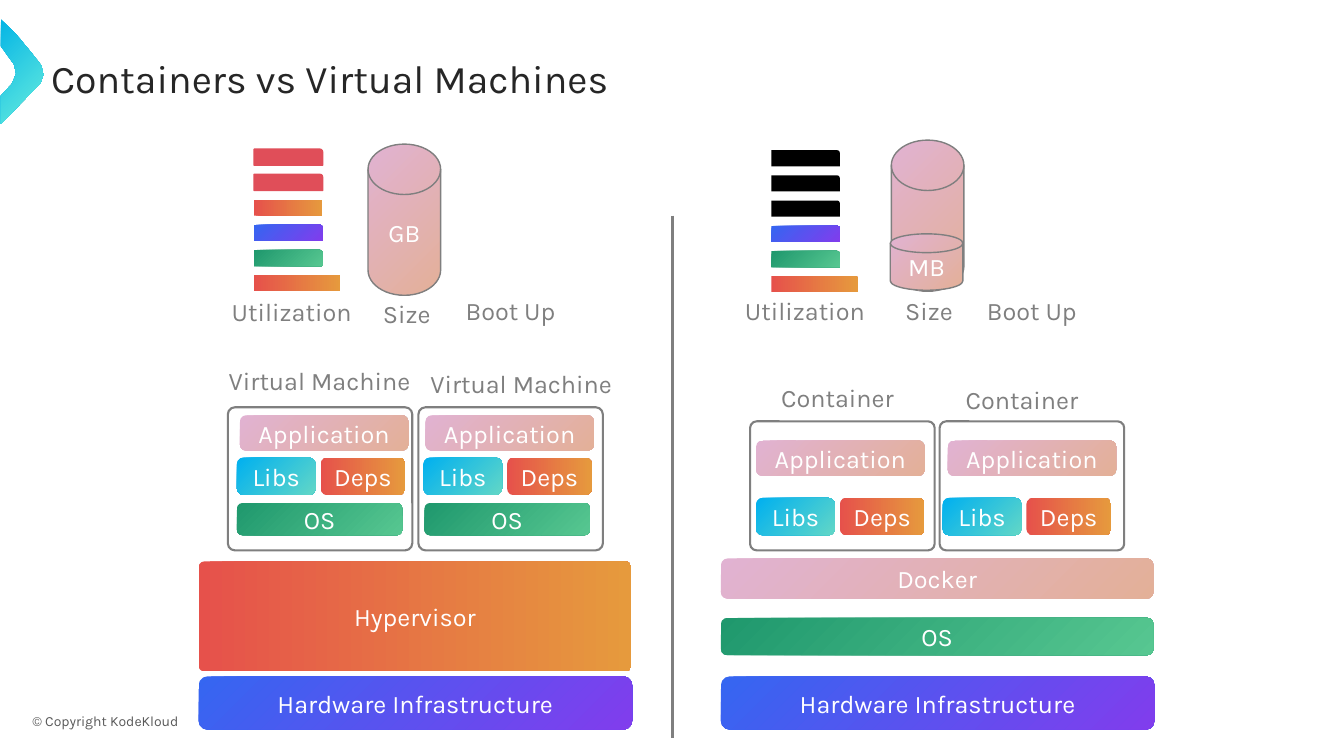
from dataclasses import dataclass
from typing import Optional

import pptx
import pptx.dml.color
import pptx.enum.shapes
import pptx.enum.text
import pptx.oxml
import pptx.oxml.ns
import pptx.util

PX = 9144  # EMU per px, 100 px to the inch
RGBColor = pptx.dml.color.RGBColor
PRESET = pptx.enum.shapes.MSO_SHAPE
ALIGN = pptx.enum.text.PP_ALIGN
ANCHOR = pptx.enum.text.MSO_ANCHOR

WHITE = RGBColor(0xFF, 0xFF, 0xFF)
BLACK = RGBColor(0x00, 0x00, 0x00)
GRAY = RGBColor(0x7F, 0x7F, 0x7F)
TITLE_COLOR = RGBColor(0x26, 0x26, 0x26)
FOOTER_COLOR = RGBColor(0x59, 0x59, 0x59)
RED = RGBColor(0xE0, 0x4E, 0x59)


@dataclass(frozen=True)
class Gradient:
    start: RGBColor
    end: RGBColor
    angle: int = 315  # counter-clockwise: towards the lower right


PINK = Gradient(RGBColor(0xE1, 0xB2, 0xD2), RGBColor(0xE3, 0xB0, 0x98))
GREEN = Gradient(RGBColor(0x1F, 0x98, 0x6D), RGBColor(0x57, 0xC7, 0x91))
CYAN = Gradient(RGBColor(0x00, 0xB0, 0xF0), RGBColor(0x62, 0xD7, 0xC7))
ORANGE = Gradient(RGBColor(0xE6, 0x51, 0x4B), RGBColor(0xE6, 0x9A, 0x3D), 0)
VIOLET = Gradient(RGBColor(0x35, 0x66, 0xF1), RGBColor(0x81, 0x3D, 0xED))
AQUA = Gradient(RGBColor(0x05, 0xB5, 0xE5), RGBColor(0x69, 0xEE, 0xDE))


@dataclass(frozen=True)
class Block:
    left: int
    top: int
    width: int
    height: int
    fill: Optional[Gradient | RGBColor] = None
    text: str = ""
    line: Optional[RGBColor] = None
    line_width: float = 1
    preset: PRESET = PRESET.ROUNDED_RECTANGLE
    corner: float = 0.17


@dataclass(frozen=True)
class Label:
    text: str
    left: int
    top: int
    width: int


def paint(shape, fill: Optional[Gradient | RGBColor]) -> None:
    shape.shadow.inherit = False
    if fill is None:
        shape.fill.background()
    elif isinstance(fill, Gradient):
        shape.fill.gradient()
        shape.fill.gradient_angle = fill.angle
        for stop, color in zip(shape.fill.gradient_stops, (fill.start, fill.end)):
            stop.color.rgb = color
    else:
        shape.fill.solid()
        shape.fill.fore_color.rgb = fill


def write(shape, text: str, *, size: int = 18, color: RGBColor = GRAY,
          align: ALIGN = ALIGN.LEFT, anchor: ANCHOR = ANCHOR.TOP,
          spacing: float = 1.0) -> None:
    frame = shape.text_frame
    frame.word_wrap = True
    frame.vertical_anchor = anchor
    paragraph = frame.paragraphs[0]
    paragraph.alignment = align
    paragraph.line_spacing = spacing
    run = paragraph.add_run()
    run.text = text
    run.font.name = "Karla"
    run.font.size = pptx.util.Pt(size)
    run.font.color.rgb = color


def add_box(slide, left: int, top: int, width: int, height: int):
    return slide.shapes.add_textbox(left * PX, top * PX, width * PX, height * PX)


def draw_block(slide, block: Block) -> None:
    shape = slide.shapes.add_shape(block.preset, block.left * PX, block.top * PX,
                                   block.width * PX, block.height * PX)
    if len(shape.adjustments):
        shape.adjustments[0] = block.corner
    paint(shape, block.fill)
    if block.line is None:
        shape.line.fill.background()
    else:
        shape.line.color.rgb = block.line
        shape.line.width = pptx.util.Pt(block.line_width)
    if block.text:
        write(shape, block.text, color=WHITE, align=ALIGN.CENTER, anchor=ANCHOR.MIDDLE)


def draw_bars(slide, left: int, top: int, fills: list[Gradient | RGBColor]) -> None:
    for index, fill in enumerate(fills):
        width = 86 if index == len(fills) - 1 else 68
        draw_block(slide, Block(left, top + 25 * index, width, 16, fill,
                                line=RED if fill == RED else None,
                                preset=PRESET.ROUND_1_RECTANGLE))


def frame_box(left: int, top: int, height: int) -> Block:
    return Block(left, top, 183, height, line=GRAY, line_width=1.5, corner=0.05)


def libs_and_deps(left: int, top: int) -> list[Block]:
    return [Block(left, top, 78, 37, CYAN, "Libs"),
            Block(left + 83, top, 84, 37, ORANGE, "Deps")]


def application(left: int, top: int) -> Block:
    return Block(left, top, 167, 35, PINK, "Application")


def disk(left: int, top: int, height: int, text: str = "") -> Block:
    return Block(left, top, 72, height, PINK, text, GRAY,
                 preset=PRESET.FLOWCHART_MAGNETIC_DISK)


BLOCKS = [
    # Virtual machine stack
    Block(197, 557, 429, 109, ORANGE, "Hypervisor", corner=0.05),
    Block(197, 671, 430, 53, VIOLET, "Hardware Infrastructure"),
    frame_box(226, 404, 142),
    frame_box(415, 404, 142),
    *libs_and_deps(235, 454),
    *libs_and_deps(420, 454),
    Block(235, 499, 164, 32, GREEN, "OS"),
    Block(421, 499, 164, 32, GREEN, "OS"),
    application(238, 412),
    application(422, 412),
    # Container stack
    Block(715, 554, 429, 40, PINK, "Docker"),
    Block(715, 613, 429, 37, GREEN, "OS"),
    Block(715, 671, 430, 53, VIOLET, "Hardware Infrastructure"),
    frame_box(744, 418, 128),
    frame_box(932, 418, 128),
    *libs_and_deps(750, 494),
    *libs_and_deps(935, 494),
    application(750, 437),
    application(940, 437),
    # Disk sizes
    disk(365, 143, 150, "GB"),
    disk(884, 139, 150),
    disk(883, 232, 56, "MB"),
]

LABELS = [
    Label("Utilization", 220, 289, 159), Label("Size", 370, 291, 76),
    Label("Boot Up", 452, 288, 130),
    Label("Utilization", 729, 288, 159), Label("Size", 888, 288, 76),
    Label("Boot Up", 969, 288, 130),
    Label("Virtual Machine", 217, 358, 235), Label("Virtual Machine", 417, 360, 235),
    Label("Container", 765, 374, 154), Label("Container", 948, 376, 154),
]

CHEVRON = [(1, 19), (16, 34), (30, 51), (41, 65), (43, 74), (40, 83), (28, 95),
           (1, 123), (1, 95), (12, 83), (16, 73), (14, 64), (1, 46)]


def main() -> None:
    presentation = pptx.Presentation()
    presentation.slide_width = 1333 * PX
    presentation.slide_height = 750 * PX
    slide = presentation.slides.add_slide(presentation.slide_layouts[6])

    # Edge ornament, title and footer
    builder = slide.shapes.build_freeform(*CHEVRON[0], scale=PX)
    builder.add_line_segments(CHEVRON[1:], close=True)
    chevron = builder.convert_to_shape()
    paint(chevron, AQUA)
    chevron.line.fill.background()
    write(add_box(slide, 41, 40, 1252, 81), "Containers vs Virtual Machines", size=28,
          color=TITLE_COLOR, anchor=ANCHOR.MIDDLE, spacing=0.9)
    write(add_box(slide, 18, 702, 173, 27), "© Copyright KodeKloud", size=10,
          color=FOOTER_COLOR, align=ALIGN.CENTER, anchor=ANCHOR.MIDDLE)

    # Comparison of both sides
    draw_bars(slide, 252, 148, [RED, RED, ORANGE, VIOLET, GREEN, ORANGE])
    draw_bars(slide, 765, 149, [BLACK, BLACK, BLACK, VIOLET, GREEN, ORANGE])
    for block in BLOCKS:
        draw_block(slide, block)
    for label in LABELS:
        write(add_box(slide, label.left, label.top, label.width, 40), label.text)

    # Divider
    divider = slide.shapes.add_connector(pptx.enum.shapes.MSO_CONNECTOR.STRAIGHT,
                                         667 * PX, 214 * PX, 667 * PX, 732 * PX)
    divider.line.color.rgb = GRAY
    divider.line.width = pptx.util.Pt(1.5)
    divider._element.spPr.append(pptx.oxml.parse_xml(
        f"<a:effectLst {pptx.oxml.ns.nsdecls('a')}/>"))

    presentation.save("out.pptx")


if __name__ == "__main__":
    main()
